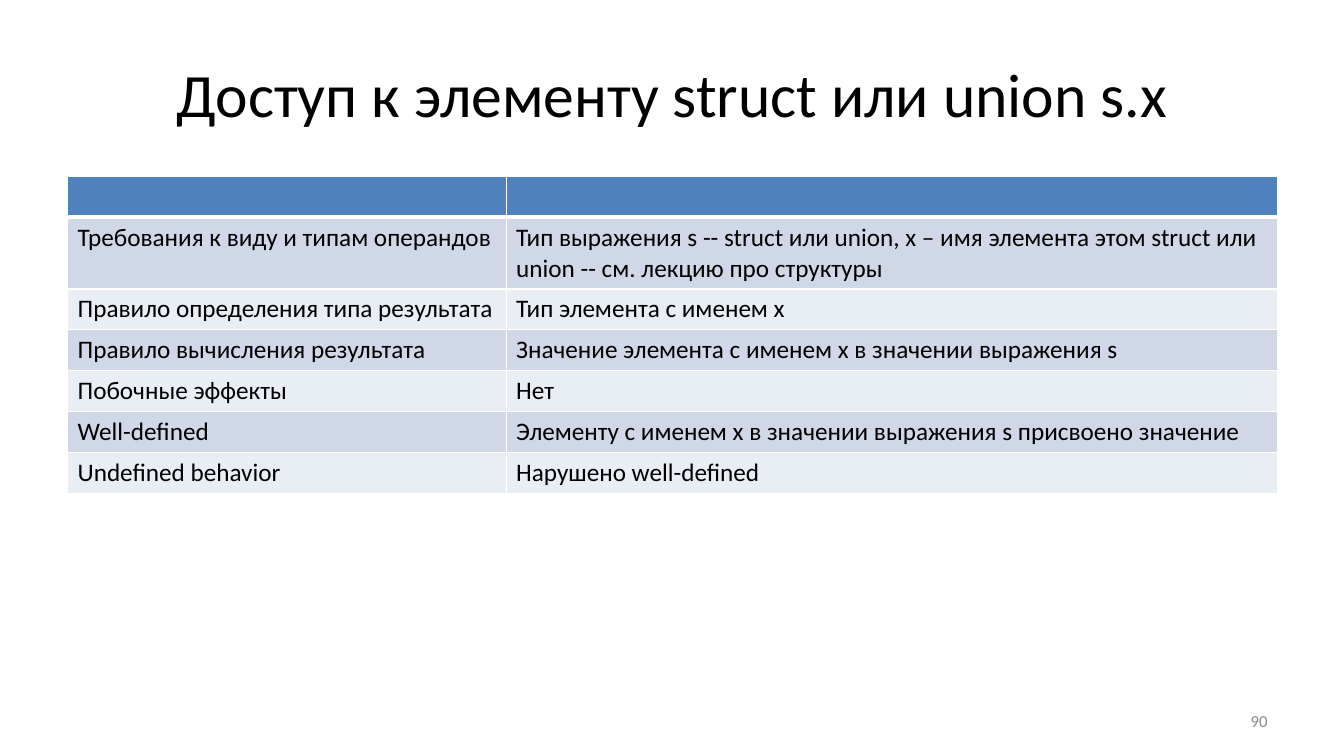
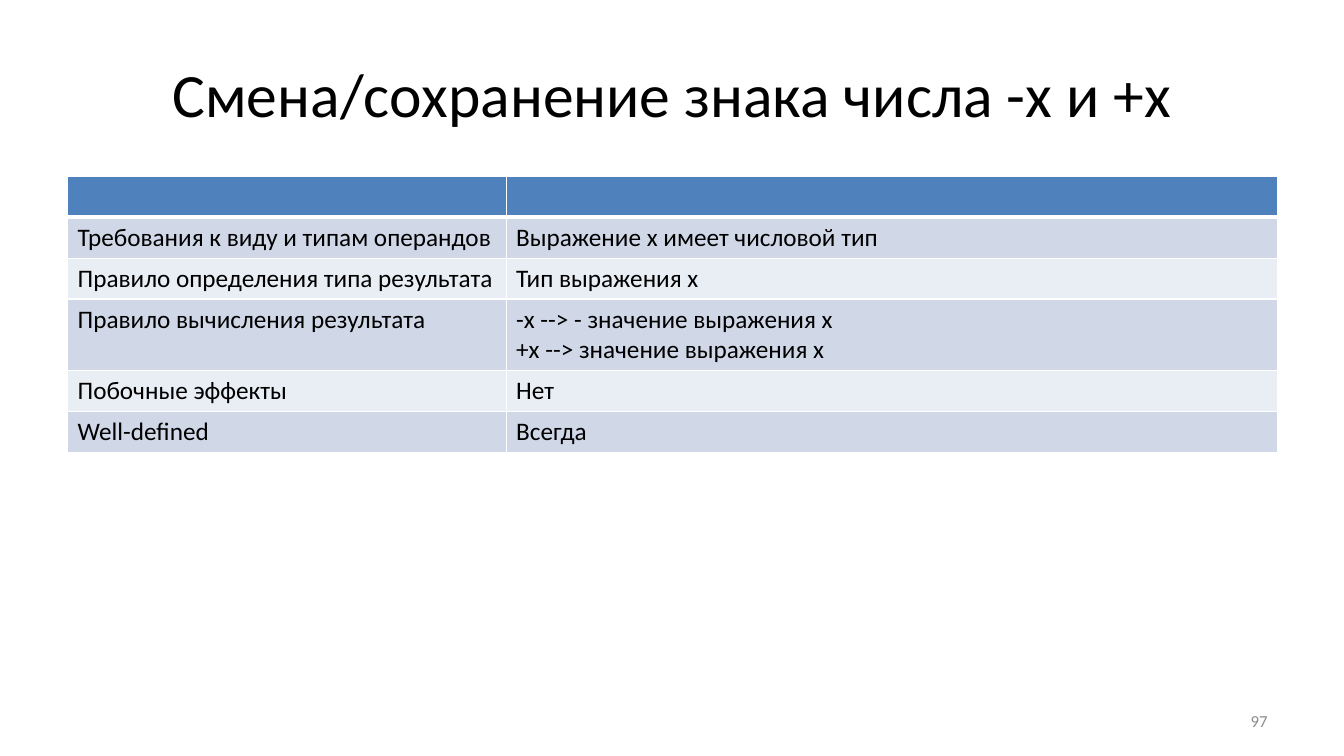
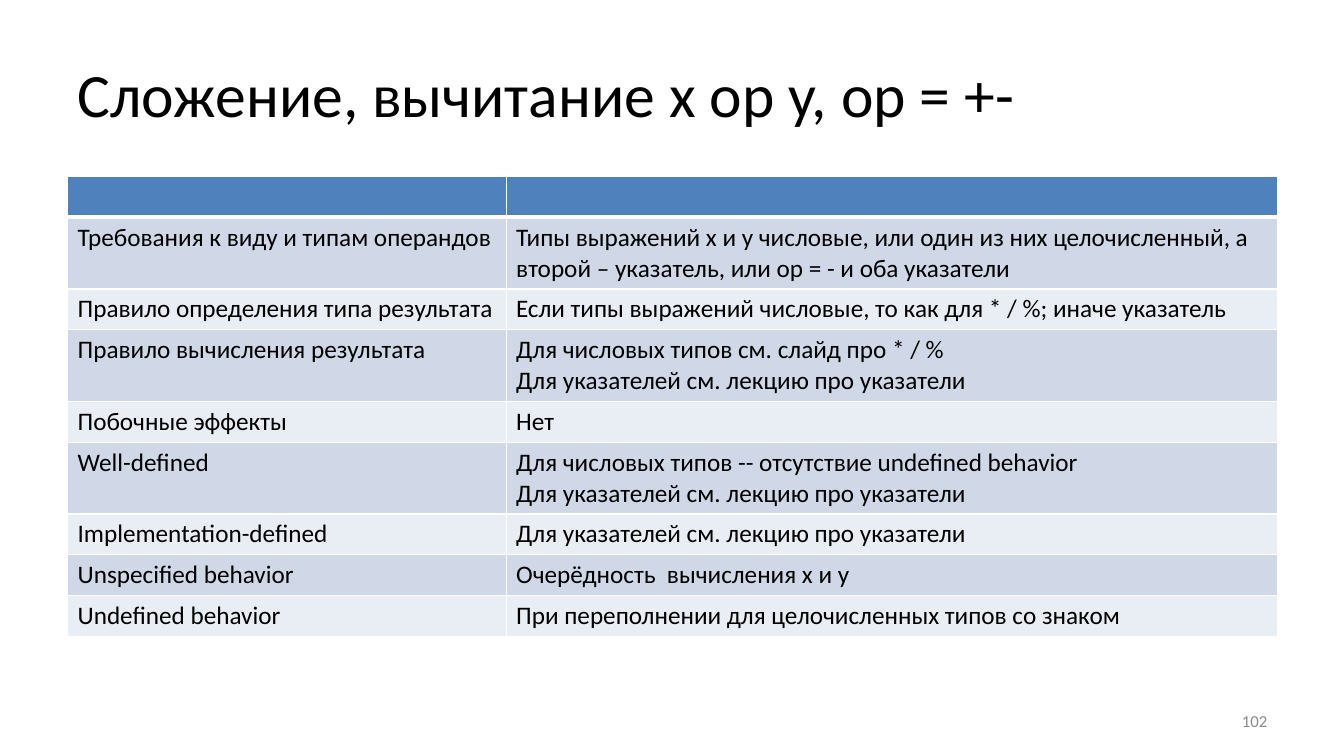
"""Build three slides with rule tables for C expressions."""
from lxml.etree import SubElement
from pptx import Presentation
from pptx.dml.color import RGBColor
from pptx.enum.text import MSO_ANCHOR as Anchor, PP_ALIGN as Align
from pptx.oxml.ns import qn
from pptx.util import Inches, Pt

FONT = "Calibri"
BLACK, WHITE, GRAY = "000000", "FFFFFF", "8C8C8C"
HEADER, BANDS = "4F81BD", ("E9EDF4", "D0D8E8")
LEFT, WIDTH = 0.67, 12
COLUMNS = (4.35, 7.65)
ROW_HEIGHT = 0.4
LABELS = (
    "Требования к виду и типам операндов",
    "Правило определения типа результата",
    "Правило вычисления результата",
    "Побочные эффекты",
    "Well-defined",
)
UNDEFINED = "Undefined behavior"
POINTERS = "Для указателей см. лекцию про указатели"

SLIDES = (
    ("Доступ к элементу struct или union s.x", Align.CENTER, "90", (UNDEFINED,), (
        "Тип выражения s -- struct или union, x – имя элемента этом struct или union -- см. лекцию про структуры",
        "Тип элемента с именем x",
        "Значение элемента с именем х в значении выражения s",
        "Нет",
        "Элементу с именем х в значении выражения s присвоено значение",
        "Нарушено well-defined",
    )),
    ("Смена/сохранение знака числа -х и +х", Align.CENTER, "97", (), (
        "Выражение х имеет числовой тип",
        "Тип выражения х",
        "-х --> - значение выражения х\n+х --> значение выражения х",
        "Нет",
        "Всегда",
    )),
    ("Сложение, вычитание x op y, op = +-", Align.LEFT, "102",
     ("Implementation-defined", "Unspecified behavior", UNDEFINED), (
        "Типы выражений х и у числовые, или один из них целочисленный, а второй – указатель, или ор = - и оба указатели",
        "Если типы выражений числовые, то как для * / %; иначе указатель",
        "Для числовых типов см. слайд про * / %\n" + POINTERS,
        "Нет",
        "Для числовых типов -- отсутствие undefined behavior\n" + POINTERS,
        POINTERS,
        "Очерёдность  вычисления x и y",
        "При переполнении для целочисленных типов со знаком",
    )),
)


def color(value):
    return RGBColor.from_string(value)


def write(frame, text, size, shade=BLACK, align=Align.LEFT):
    for index, line in enumerate(text.split("\n")):
        para = frame.add_paragraph() if index else frame.paragraphs[0]
        para.alignment = align
        span = para.add_run()
        span.text = line
        span.font.name = FONT
        span.font.size = Pt(size)
        span.font.bold = False
        span.font.color.rgb = color(shade)


deck = Presentation()
deck.slide_width = Inches(13.33)
deck.slide_height = Inches(7.5)
title_only = deck.slide_layouts[5]

for heading, align, number, extra_labels, rules in SLIDES:
    page = deck.slides.add_slide(title_only)
    title = page.shapes.title
    title.left, title.top = Inches(LEFT), Inches(0.3)
    title.width, title.height = Inches(WIDTH), Inches(1.25)
    title.text_frame.vertical_anchor = Anchor.MIDDLE
    write(title.text_frame, heading, 44, align=align)

    rows = [("", ""), *zip(LABELS + extra_labels, rules)]
    table = page.shapes.add_table(
        len(rows), len(COLUMNS), Inches(LEFT), Inches(1.75),
        Inches(WIDTH), Inches(ROW_HEIGHT * len(rows))).table
    table.horz_banding = False
    for column, width in zip(table.columns, COLUMNS):
        column.width = Inches(width)
    for row_index, texts in enumerate(rows):
        table.rows[row_index].height = Inches(ROW_HEIGHT)
        for column_index, text in enumerate(texts):
            cell = table.cell(row_index, column_index)
            if text:
                write(cell.text_frame, text, 18)
            properties = cell._tc.get_or_add_tcPr()
            thick_side = {0: "lnB", 1: "lnT"}.get(row_index)
            for side in ("lnL", "lnR", "lnT", "lnB"):
                points = 3 if side == thick_side else 1
                border = SubElement(properties, qn(f"a:{side}"), w=str(Pt(points)))
                paint = SubElement(border, qn("a:solidFill"))
                SubElement(paint, qn("a:srgbClr"), val=WHITE)
            cell.fill.solid()
            cell.fill.fore_color.rgb = color(BANDS[row_index % 2] if row_index else HEADER)

    box = page.shapes.add_textbox(Inches(9.56), Inches(6.95), Inches(3.11), Inches(0.4))
    box.text_frame.word_wrap = True
    box.text_frame.vertical_anchor = Anchor.MIDDLE
    write(box.text_frame, number, 12, GRAY, Align.RIGHT)

deck.save("out.pptx")
